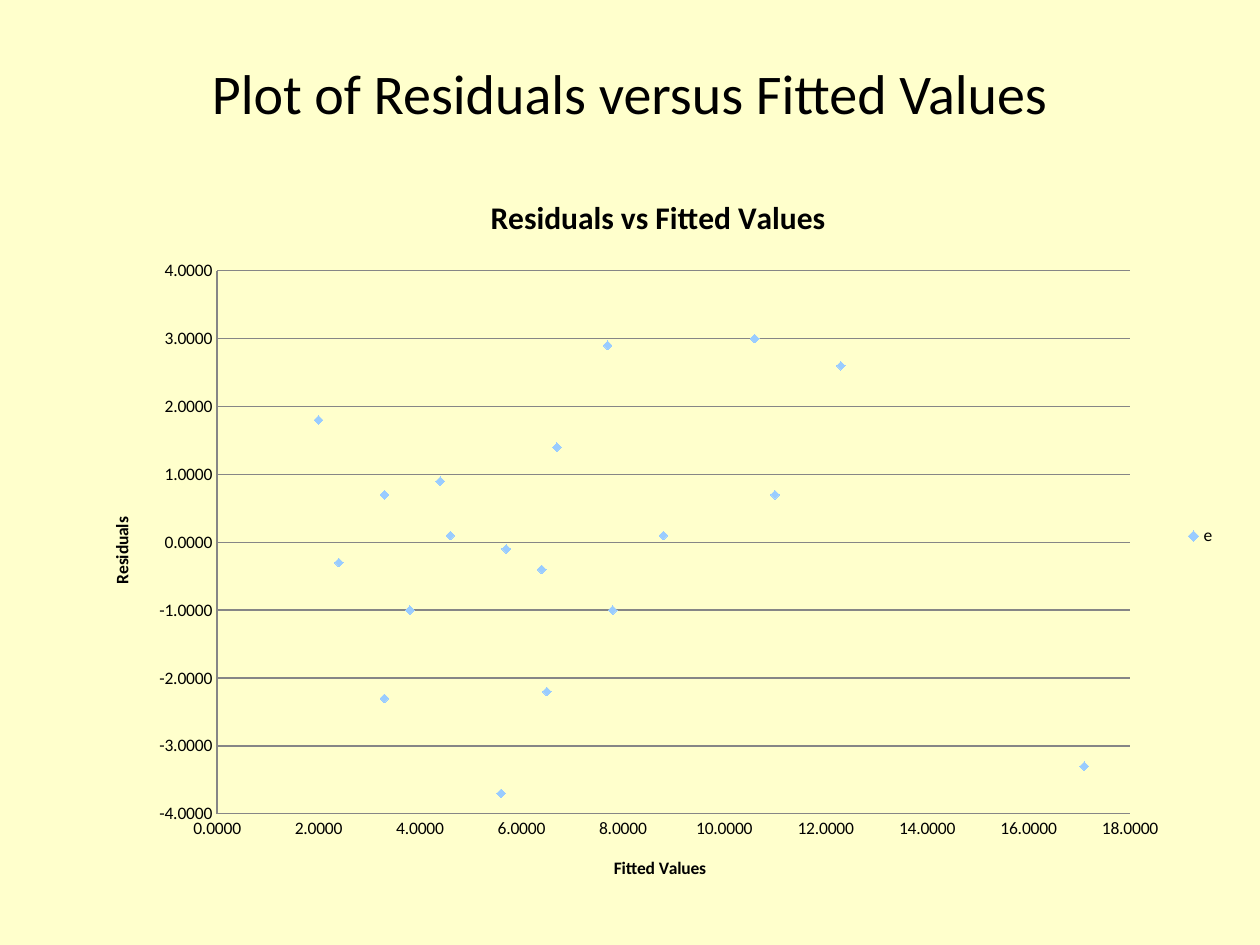
from pptx import Presentation
from pptx.chart.data import XyChartData
from pptx.dml.color import RGBColor
from pptx.enum.chart import (XL_AXIS_CROSSES as Cross, XL_CHART_TYPE as Kind,
                             XL_LEGEND_POSITION as Side, XL_MARKER_STYLE as Mark,
                             XL_TICK_LABEL_POSITION as Label, XL_TICK_MARK as Tick)
from pptx.enum.text import MSO_ANCHOR as Anchor, PP_ALIGN as Align
from pptx.oxml import parse_xml
from pptx.oxml.ns import nsdecls, qn
from pptx.util import Inches, Pt

# Content
HEAD = "Plot of Residuals versus Fitted Values"
TITLE = "Residuals vs Fitted Values"
SERIES = "e"
POINTS = [(5.6, -3.7), (3.3, -2.3), (6.5, -2.2), (2.4, -0.3), (3.8, -1),
          (17.1, -3.3), (5.7, -0.1), (3.3, 0.7), (4.6, 0.1), (8.8, 0.1),
          (7.8, -1), (6.4, -0.4), (6.7, 1.4), (11, 0.7), (12.3, 2.6),
          (4.4, 0.9), (10.6, 3), (2, 1.8), (7.7, 2.9)]
# Axis name, minimum, maximum, step, share of chart width and height
AXES = [("Fitted Values", 0, 18, 2, (0.46, 0.93)),
        ("Residuals", -4, 4, 1, (0.02, 0.47))]

FONT = "Calibri"
CREAM = RGBColor(0xFF, 0xFF, 0xCC)
BLACK = RGBColor(0, 0, 0)
GRAY = RGBColor(0x86, 0x86, 0x86)
SKY = RGBColor(0x99, 0xCC, 0xFF)


def style(font, size, bold=False):
    look = {"name": FONT, "size": Pt(size), "bold": bold}
    for key, val in look.items():
        setattr(font, key, val)
    font.color.rgb = BLACK


def place(x, y, w=None, h=None):
    """Build a manual layout from shares of the chart's size."""
    inner = '<c:layoutTarget val="inner"/>' if w else ""
    spots = {"x": x, "y": y, "w": w, "h": h}
    used = {key: val for key, val in spots.items() if val is not None}
    modes = "".join(f'<c:{key}Mode val="edge"/>' for key in used if key in "xy")
    vals = "".join(f'<c:{key} val="{val}"/>' for key, val in used.items())
    return parse_xml(f'<c:layout {nsdecls("c")}><c:manualLayout>{inner}{modes}'
                     f'{vals}</c:manualLayout></c:layout>')


def write(owner, text, size, spot):
    """Set a chart or axis title at its spot."""
    frame = owner.text_frame
    frame.text = text
    style(frame.paragraphs[0].runs[0].font, size, True)
    node = frame._txBody.getparent().getparent()
    for old in node.findall(qn("c:layout")):
        node.remove(old)
    node.find(qn("c:tx")).addnext(place(*spot))


deck = Presentation()
deck.slide_width, deck.slide_height = Inches(10), Inches(7.5)
slide = deck.slides.add_slide(deck.slide_layouts[6])
slide.background.fill.solid()
slide.background.fill.fore_color.rgb = CREAM

# Heading
box = slide.shapes.add_textbox(Inches(0.5), Inches(0.3), Inches(9), Inches(0.87))
frame = box.text_frame
frame.word_wrap = True
frame.vertical_anchor = Anchor.MIDDLE
para = frame.paragraphs[0]
para.text = HEAD
para.alignment = Align.CENTER
style(para.runs[0].font, 32)

# Scatter chart
data = XyChartData(number_format="0.0000")
series = data.add_series(SERIES)
for x, y in POINTS:
    series.add_data_point(x, y)
chart = slide.shapes.add_chart(Kind.XY_SCATTER, Inches(0.67), Inches(1.33),
                               Inches(9.08), Inches(5.85), data).chart
style(chart.font, 10)
chart.has_title = True
write(chart.chart_title, TITLE, 18, (0.35, 0.03))
chart.has_legend = True
chart.legend.position = Side.RIGHT
chart.legend.include_in_layout = False

# Plot and markers
plot = chart.plots[0]
plot.vary_by_categories = False
area = plot._element.getparent()
for old in area.findall(qn("c:layout")):
    area.remove(old)
area.insert(0, place(0.116, 0.14, 0.798, 0.737))
dots = plot.series[0]
dots.smooth = False
dots.format.line.fill.background()
dots.marker.style = Mark.DIAMOND
dots.marker.size = 5
dots.marker.format.fill.solid()
dots.marker.format.fill.fore_color.rgb = SKY
dots.marker.format.line.fill.background()

# Axes
for axis, (name, low, high, step, spot) in zip(
        (chart.category_axis, chart.value_axis), AXES):
    setup = {"minimum_scale": low, "maximum_scale": high, "major_unit": step,
             "major_tick_mark": Tick.NONE, "minor_tick_mark": Tick.NONE,
             "tick_label_position": Label.NEXT_TO_AXIS, "crosses": Cross.MINIMUM,
             "has_major_gridlines": name == "Residuals"}
    for key, val in setup.items():
        setattr(axis, key, val)
    axis.tick_labels.number_format = "0.0000"
    axis.tick_labels.number_format_is_linked = False
    style(axis.tick_labels.font, 10)
    axis.format.line.color.rgb = GRAY
    write(axis.axis_title, name, 10, spot)

rules = chart.value_axis.major_gridlines.format.line
rules.color.rgb = GRAY
rules.width = Pt(0.75)
turn = chart.value_axis.axis_title.text_frame._txBody.find(qn("a:bodyPr"))
turn.set("rot", "-5400000")
turn.set("vert", "horz")

deck.save("out.pptx")
